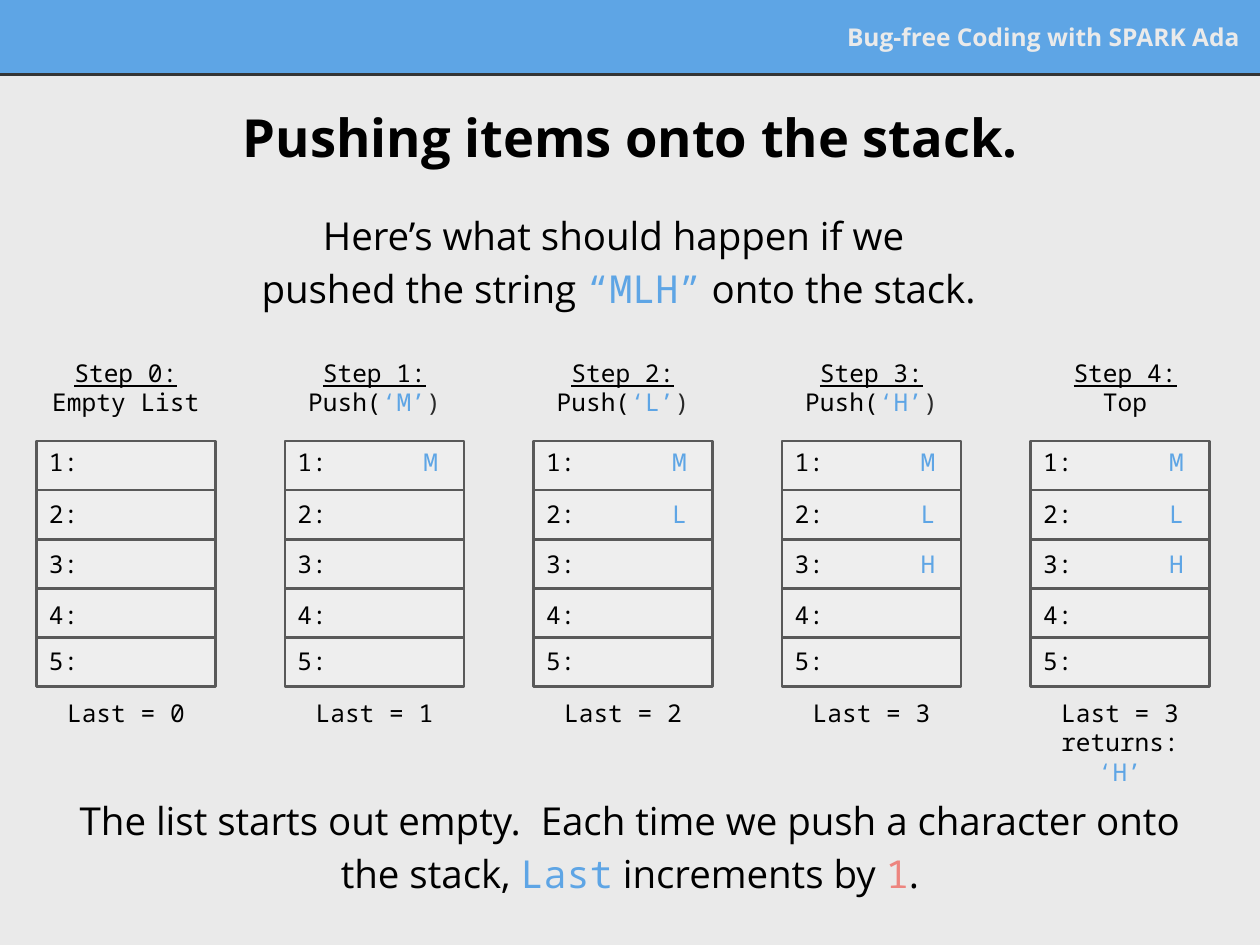
from lxml.etree import SubElement
from pptx import Presentation
from pptx.dml.color import RGBColor
from pptx.enum.shapes import MSO_CONNECTOR, MSO_SHAPE
from pptx.enum.text import MSO_ANCHOR, PP_ALIGN
from pptx.oxml.ns import qn
from pptx.util import Inches, Pt

SANS, MONO = "Open Sans", "Noto Sans Mono"
BLUE, RED, BLACK, DARK = "5EA5E5", "ED857F", "000000", "292929"
BACKGROUND, CELL_FILL, CELL_LINE, RULE = "EAEAEA", "EEEEEE", "595959", "353535"

HEADER = "Bug-free Coding with SPARK Ada"
TITLE = "Pushing items onto the stack."
BLUE_CODE = {"font": MONO, "color": BLUE}
INTRO = [
    ["Here’s what should happen if we "],
    ["pushed the string ", ("“MLH”", BLUE_CODE), " onto the stack."],
]
SUMMARY = [[
    "The list starts out empty.  Each time we push a character onto the stack, ",
    ("Last", BLUE_CODE), " increments by ", ("1", {"font": MONO, "color": RED}), ".",
]]


def push(letter):
    return ["Push(", (f"‘{letter}’", BLUE_CODE), (")", {"color": DARK})]


STEPS = [
    {"action": ["Empty List"], "items": "", "result": [["Last = 0"]]},
    {"action": push("M"), "items": "M", "result": [["Last = 1"]]},
    {"action": push("L"), "items": "ML", "result": [["Last = 2"]]},
    {"action": push("H"), "items": "MLH", "result": [["Last = 3"]]},
    {"action": ["Top"], "items": "MLH", "heading_shift": 0, "result_width": 1.5,
     "result": [["Last = 3"], ["returns: ", ("‘H’", BLUE_CODE)]]},
]

FIRST_LEFT, LAST_LEFT = 0.29, 8.18
STEP_PITCH = (LAST_LEFT - FIRST_LEFT) / (len(STEPS) - 1)
CELL_WIDTH, CELL_HEIGHT, CELLS_TOP = 1.42, 0.39, 3.5
LABEL_TOPS = [3.45, 3.86, 4.26, 4.66, 5.03]


def rgb(value):
    return RGBColor.from_string(value)


def add_text(shapes, box, paragraphs, size=14, font=MONO, color=BLACK, bold=False,
             align=PP_ALIGN.CENTER, anchor=MSO_ANCHOR.TOP, spacing=None, tab=None):
    shape = shapes.add_textbox(*map(Inches, box))
    frame = shape.text_frame
    frame.word_wrap = True
    frame.vertical_anchor = anchor
    frame.margin_left = frame.margin_right = Inches(0.1)
    frame.margin_top = frame.margin_bottom = Inches(0.1)
    for index, pieces in enumerate(paragraphs):
        paragraph = frame.paragraphs[0] if index == 0 else frame.add_paragraph()
        paragraph.alignment = align
        if spacing:
            paragraph.line_spacing = spacing
        if tab:
            tabs = SubElement(paragraph._p.get_or_add_pPr(), qn("a:tabLst"))
            SubElement(tabs, qn("a:tab"), pos=str(Inches(tab)), algn="l")
        for piece in pieces:
            text, style = (piece, {}) if isinstance(piece, str) else piece
            run = paragraph.add_run()
            run.text = text
            run.font.size = Pt(size)
            run.font.name = style.get("font", font)
            run.font.bold = bold
            run.font.underline = style.get("underline", False)
            run.font.color.rgb = rgb(style.get("color", color))


def add_rectangle(shapes, box, fill, line, line_width):
    shape = shapes.add_shape(MSO_SHAPE.RECTANGLE, *map(Inches, box))
    shape.shadow.inherit = False
    shape.fill.solid()
    shape.fill.fore_color.rgb = rgb(fill)
    shape.line.color.rgb = rgb(line)
    shape.line.width = Pt(line_width)


def add_step(slide, number, step):
    shapes = slide.shapes.add_group_shape().shapes
    left = FIRST_LEFT + number * STEP_PITCH
    for row in range(len(LABEL_TOPS)):
        add_rectangle(shapes, (left, CELLS_TOP + row * CELL_HEIGHT, CELL_WIDTH, CELL_HEIGHT),
                      CELL_FILL, CELL_LINE, 1.5)
    for row, top in enumerate(LABEL_TOPS):
        label = [f"{row + 1}:"]
        if row < len(step["items"]):
            label = [f"{row + 1}:\t", (step["items"][row], BLUE_CODE)]
        add_text(shapes, (left, top, CELL_WIDTH, 0.37), [label], align=PP_ALIGN.LEFT, tab=1)
    result_width = step.get("result_width", 1.32)
    result_left = left + (CELL_WIDTH - result_width) / 2
    add_text(shapes, (result_left, 5.44, result_width, 0.2 + 0.2 * len(step["result"])),
             step["result"])
    heading = [(f"Step {number}:", {"underline": True})]
    add_text(shapes, (left + step.get("heading_shift", -0.04), 2.7, 1.5, 0.75),
             [heading, step["action"]], anchor=MSO_ANCHOR.MIDDLE)


def main():
    presentation = Presentation()
    presentation.slide_width, presentation.slide_height = Inches(10), Inches(7.5)
    slide = presentation.slides.add_slide(presentation.slide_layouts[6])
    slide.background.fill.solid()
    slide.background.fill.fore_color.rgb = rgb(BACKGROUND)

    add_rectangle(slide.shapes, (0, 0, 10, 0.59), BLUE, BLUE, 0.75)
    rule = slide.shapes.add_connector(MSO_CONNECTOR.STRAIGHT, 0, Inches(0.59),
                                      Inches(10), Inches(0.59))
    rule.line.color.rgb = rgb(RULE)
    rule.line.width = Pt(1.5)
    SubElement(rule._element.spPr, qn("a:effectLst"))

    add_text(slide.shapes, (5.84, 0.1, 4.1, 0.38), [[HEADER]], font=SANS, color=BACKGROUND,
             bold=True, align=PP_ALIGN.RIGHT, anchor=MSO_ANCHOR.MIDDLE)
    add_text(slide.shapes, (0.18, 0.63, 9.65, 0.9), [[TITLE]], size=30, font=SANS,
             bold=True, anchor=MSO_ANCHOR.MIDDLE)
    add_text(slide.shapes, (0.32, 1.53, 9.18, 0.9), INTRO, size=22, font=SANS, spacing=1.15)
    for number, step in enumerate(STEPS):
        add_step(slide, number, step)
    add_text(slide.shapes, (0.41, 6.17, 9.18, 0.9), SUMMARY, size=22, font=SANS, spacing=1.15)
    presentation.save("out.pptx")


if __name__ == "__main__":
    main()
